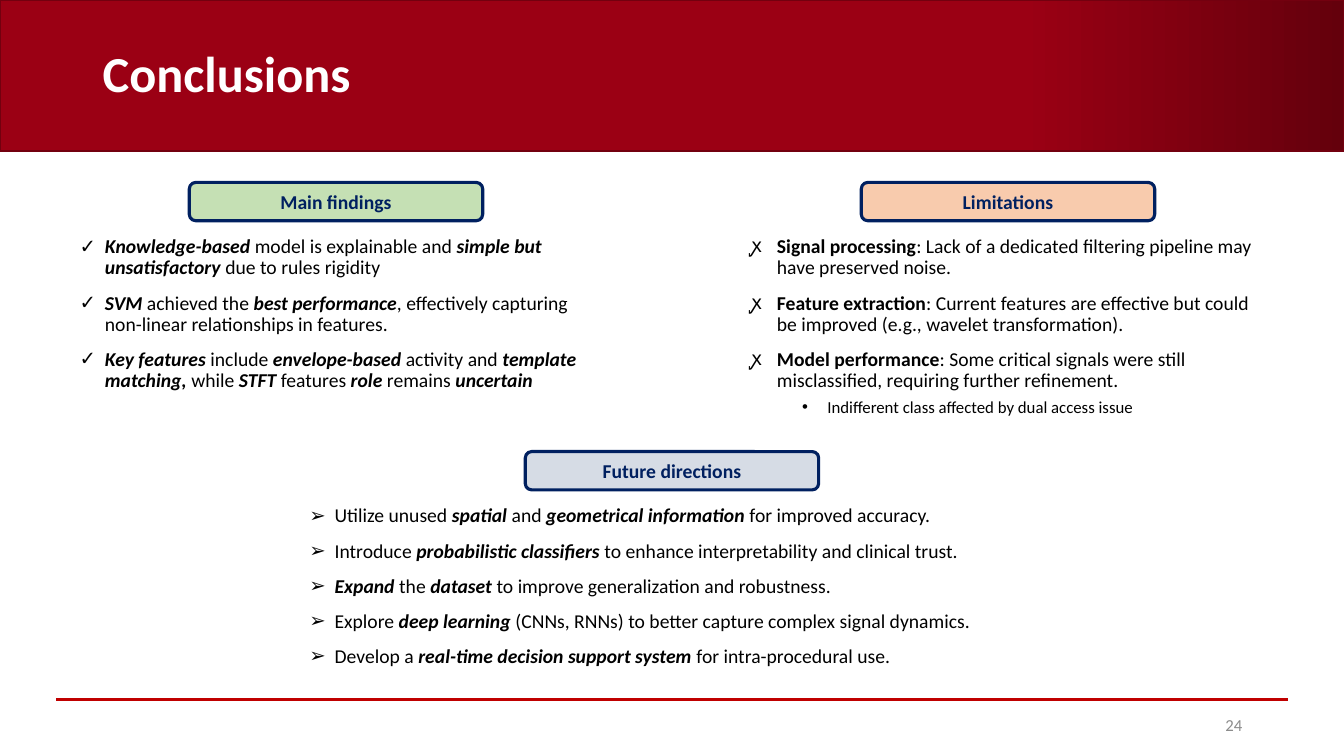
from lxml.etree import SubElement
from pptx import Presentation
from pptx.dml.color import RGBColor
from pptx.enum.shapes import MSO_CONNECTOR, MSO_SHAPE
from pptx.enum.text import MSO_ANCHOR, PP_ALIGN
from pptx.oxml.ns import qn
from pptx.util import Inches, Pt

WIDTH, HEIGHT = 13.33, 7.5
BANNER_HEIGHT = HEIGHT / 5
QUARTER = WIDTH / 4
HEADING_WIDTH, HEADING_HEIGHT = 2.91, 0.38
LIST_DROP = 0.49

WHITE = RGBColor(0xFF, 0xFF, 0xFF)
BLACK = RGBColor(0x00, 0x00, 0x00)
GREY = RGBColor(0x8C, 0x8C, 0x8C)
NAVY = RGBColor(0x00, 0x20, 0x60)
RED = RGBColor(0xC0, 0x00, 0x00)
CRIMSON = RGBColor(0x9B, 0x00, 0x14)
MAROON = RGBColor(0x64, 0x00, 0x0C)
BANNER_EDGE = RGBColor(0x73, 0x00, 0x0F)
GREEN = RGBColor(0xC5, 0xE0, 0xB4)
PEACH = RGBColor(0xF8, 0xCB, 0xAD)
PALE_BLUE = RGBColor(0xD6, 0xDC, 0xE5)

STRONG = {"bold": True, "italic": True}
BOLD = {"bold": True}

# Asterisks enclose emphasised words; a leading tab marks a second-level item.
SECTIONS = [
    {"heading": "Main findings", "fill": GREEN, "column": 1, "top": 1.81,
     "width": 5.28, "height": 1.72, "bullet": "✓", "emphasis": STRONG,
     "items": [
         "*Knowledge-based* model is explainable and *simple but unsatisfactory *due to rules rigidity",
         "*SVM* achieved the *best performance*, effectively capturing non-linear relationships in features.",
         "*Key features* include *envelope-based* activity and *template matching, *while* STFT *features"
         "* role *remains* uncertain*",
     ]},
    {"heading": "Limitations", "fill": PEACH, "column": 3, "top": 1.81,
     "width": 5.28, "height": 2.1, "bullet": "ꭙ", "emphasis": BOLD,
     "items": [
         "*Signal processing*: Lack of a dedicated filtering pipeline may have preserved noise.",
         "*Feature extraction*: Current features are effective but could be improved "
         "(e.g., wavelet transformation).",
         "*Model performance*: Some critical signals were still misclassified, requiring further refinement.",
         "\tIndifferent class affected by dual access issue",
     ]},
    {"heading": "Future directions", "fill": PALE_BLUE, "column": 2, "top": 4.48,
     "width": 7.39, "height": 1.75, "bullet": "➢", "emphasis": STRONG,
     "items": [
         "Utilize unused *spatial* and *geometrical information* for improved accuracy.",
         "Introduce *probabilistic classifiers* to enhance interpretability and clinical trust.",
         "*Expand* the *dataset* to improve generalization and robustness.",
         "Explore *deep learning* (CNNs, RNNs) to better capture complex signal dynamics.",
         "Develop a *real-time decision support system* for intra-procedural use.",
     ]},
]


def add_span(para, text, size, color, formats):
    span = para.add_run()
    span.text = text
    span.font.color.rgb = color
    for name, value in {"name": "Calibri", "size": Pt(size), **formats}.items():
        setattr(span.font, name, value)


def set_bullet(para, char, indent):
    properties = para._p.get_or_add_pPr()
    properties.set("marL", str(Inches(indent)))
    properties.set("indent", str(-Inches(0.25)))
    SubElement(properties, qn("a:buFont"), typeface="Arial")
    SubElement(properties, qn("a:buChar"), char=char)


deck = Presentation()
deck.slide_width, deck.slide_height = Inches(WIDTH), Inches(HEIGHT)
page = deck.slides.add_slide(deck.slide_layouts[6])

# Banner and footer rule
banner = page.shapes.add_shape(MSO_SHAPE.RECTANGLE, 0, 0, Inches(WIDTH), Inches(BANNER_HEIGHT))
banner.shadow.inherit = False
banner.fill.gradient()
banner.fill.gradient_angle = 0
for stop, position, color in zip(banner.fill.gradient_stops, (0.76, 1), (CRIMSON, MAROON)):
    stop.position = position
    stop.color.rgb = color
banner.line.color.rgb = BANNER_EDGE
banner.line.width = Pt(1)

rule = page.shapes.add_connector(
    MSO_CONNECTOR.STRAIGHT, Inches(0.56), Inches(6.94), Inches(WIDTH - 0.56), Inches(6.94))
rule.line.color.rgb = RED
rule.line.width = Pt(1.5)
SubElement(rule._element.spPr, qn("a:effectLst"))

# Title and page number
for text, bounds, align, size, color, formats in (
    ("Conclusions", (0.92, 0.23, 10.83, 1.06), PP_ALIGN.LEFT, 36, WHITE, BOLD),
    ("24", (9.42, 7, 3, 0.4), PP_ALIGN.RIGHT, 12, GREY, {}),
):
    box = page.shapes.add_textbox(*map(Inches, bounds))
    box.text_frame.word_wrap = True
    box.text_frame.vertical_anchor = MSO_ANCHOR.MIDDLE
    para = box.text_frame.paragraphs[0]
    para.alignment = align
    para.line_spacing = 0.9
    add_span(para, text, size, color, formats)

# Headings and lists, each centred on a quarter line of the slide
for section in SECTIONS:
    centre, top, width = section["column"] * QUARTER, section["top"], section["width"]

    heading = page.shapes.add_shape(
        MSO_SHAPE.ROUNDED_RECTANGLE, Inches(centre - HEADING_WIDTH / 2), Inches(top),
        Inches(HEADING_WIDTH), Inches(HEADING_HEIGHT))
    heading.shadow.inherit = False
    heading.fill.solid()
    heading.fill.fore_color.rgb = section["fill"]
    heading.line.color.rgb = NAVY
    heading.line.width = Pt(2.25)
    heading.text_frame.vertical_anchor = MSO_ANCHOR.MIDDLE
    para = heading.text_frame.paragraphs[0]
    para.alignment = PP_ALIGN.CENTER
    add_span(para, section["heading"], 14, NAVY, BOLD)

    box = page.shapes.add_textbox(
        Inches(centre - width / 2), Inches(top + LIST_DROP), Inches(width), Inches(section["height"]))
    frame = box.text_frame
    frame.word_wrap = True
    for index, item in enumerate(section["items"]):
        para = frame.add_paragraph() if index else frame.paragraphs[0]
        nested = item.startswith("\t")
        para.level = int(nested)
        para.line_spacing = 0.9
        para.space_before = Pt(0 if index == 0 else 5 if nested else 10)
        set_bullet(para, "•" if nested else section["bullet"], 0.75 if nested else 0.25)
        for part, text in enumerate(item.strip("\t").split("*")):
            if text:
                add_span(para, text, 12 if nested else 14, BLACK, section["emphasis"] if part % 2 else {})

deck.save("out.pptx")
